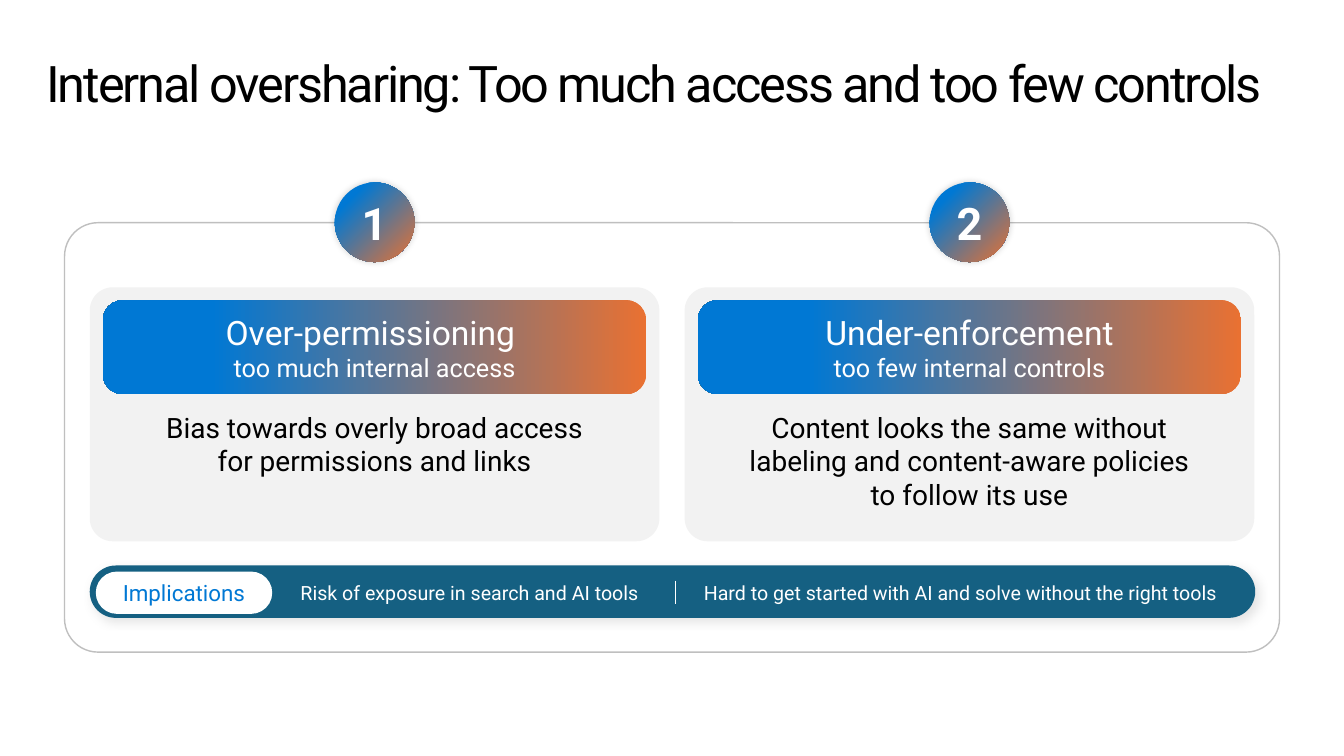
from dataclasses import dataclass

from lxml import etree
from pptx import Presentation
from pptx import util as u
from pptx.dml.color import RGBColor
from pptx.enum import shapes, text
from pptx.oxml import ns

COLORS = {
    "black": "000000", "white": "FFFFFF", "outline": "BFBFBF", "panel": "F2F2F2",
    "teal": "156082", "blue": "0078D4", "orange": "E97132",
}
FONT = "Roboto"
COLUMN_STEP = 5.9
ROUNDED = shapes.MSO_SHAPE.ROUNDED_RECTANGLE
CENTER, LEFT = text.PP_ALIGN.CENTER, text.PP_ALIGN.LEFT
TOP, MIDDLE = text.MSO_ANCHOR.TOP, text.MSO_ANCHOR.MIDDLE


@dataclass(frozen=True)
class Box:
    left: float
    top: float
    width: float
    height: float

    def shifted(self, dx: float) -> "Box":
        return Box(self.left + dx, self.top, self.width, self.height)

    def emu(self) -> list:
        return [u.Inches(v) for v in (self.left, self.top, self.width, self.height)]


@dataclass(frozen=True)
class Line:
    words: str
    size: float
    color: str = "white"
    bold: bool = False


@dataclass(frozen=True)
class Cause:
    number: str
    heading: str
    subheading: str
    explanation: str
    explanation_height: float


@dataclass(frozen=True)
class Implication:
    words: str
    left: float
    width: float


CAUSES = [
    Cause("1", "Over-permissioning ", "too much internal access",
          "Bias towards overly broad access for permissions and links", 0.67),
    Cause("2", "Under-enforcement", "too few internal controls",
          "Content looks the same without labeling and content-aware policies "
          "to follow its use", 1.01),
]
IMPLICATIONS = [
    Implication("Risk of exposure in search and AI tools", 2.98, 3.43),
    Implication("Hard to get started with AI and solve without the right tools",
                6.98, 5.19),
]


def rgb(name: str) -> RGBColor:
    return RGBColor.from_string(COLORS[name])


def write(shape, lines: list[Line], align=CENTER, anchor=MIDDLE, inset=True) -> None:
    frame = shape.text_frame
    frame.word_wrap = True
    frame.vertical_anchor = anchor
    if not inset:
        frame.margin_left = frame.margin_right = 0
        frame.margin_top = frame.margin_bottom = 0
    frame.text = "\n".join(line.words for line in lines)
    for paragraph, line in zip(frame.paragraphs, lines):
        paragraph.alignment = align
        font = paragraph.runs[0].font
        font.name, font.size, font.bold = FONT, u.Pt(line.size), line.bold
        font.color.rgb = rgb(line.color)


def add_text(slide, box: Box, line: Line, align=LEFT, anchor=TOP):
    label = slide.shapes.add_textbox(*box.emu())
    write(label, [line], align, anchor, inset=False)
    return label


def add_block(slide, box: Box, fill: str | None = None, radius: float | None = None,
              kind=ROUNDED):
    block = slide.shapes.add_shape(kind, *box.emu())
    block.shadow.inherit = False
    block.line.fill.background()
    if radius is not None:
        block.adjustments[0] = radius
    if fill:
        block.fill.solid()
        block.fill.fore_color.rgb = rgb(fill)
    return block


def blend(block, radial: bool = False) -> None:
    """Fill with orange to blue, sideways or out of the lower right corner."""
    block.fill.gradient()
    block.fill.gradient_angle = 180
    stops = block.fill.gradient_stops
    for stop, color, position in zip(stops, ("orange", "blue"), (0, 0.8)):
        stop.color.rgb = rgb(color)
        stop.position = position
    if radial:
        gradient = block.element.spPr.find(ns.qn("a:gradFill"))
        gradient.remove(gradient.find(ns.qn("a:lin")))
        path = etree.SubElement(gradient, ns.qn("a:path"), path="circle")
        etree.SubElement(path, ns.qn("a:fillToRect"), l="100000", t="100000")


def cast_shadow(block, opacity: int, blur: float, distance: float, angle: int) -> None:
    effects = block.element.spPr.find(ns.qn("a:effectLst"))
    shadow = etree.SubElement(
        effects, ns.qn("a:outerShdw"), blurRad=str(u.Pt(blur)), dist=str(u.Pt(distance)),
        dir=str(angle * 60000), algn="ctr", rotWithShape="0")
    color = etree.SubElement(shadow, ns.qn("a:srgbClr"), val=COLORS["black"])
    etree.SubElement(color, ns.qn("a:alpha"), val=str(opacity * 1000))


def add_cause(slide, cause: Cause, dx: float) -> None:
    add_block(slide, Box(0.89, 2.85, 5.65, 2.52).shifted(dx), "panel", 0.091)

    badge = add_block(slide, Box(3.32, 1.81, 0.79, 0.79).shifted(dx),
                      kind=shapes.MSO_SHAPE.FLOWCHART_CONNECTOR)
    blend(badge, radial=True)
    cast_shadow(badge, 20, 5, 0, 0)
    write(badge, [Line(cause.number, 32, bold=True)], inset=False)

    banner = add_block(slide, Box(1.02, 2.98, 5.39, 0.93).shifted(dx), radius=0.211)
    blend(banner)
    write(banner, [Line(cause.heading, 24), Line(cause.subheading, 18)])

    add_text(slide, Box(1.5, 4.07, 4.43, cause.explanation_height).shifted(dx),
             Line(cause.explanation, 20, "black"), CENTER)


def add_implications(slide) -> None:
    bar = add_block(slide, Box(0.89, 5.61, 11.56, 0.52), "teal", 0.5)
    cast_shadow(bar, 11, 7, 3, 45)

    divider = slide.shapes.add_connector(
        shapes.MSO_CONNECTOR.STRAIGHT,
        u.Inches(6.7), u.Inches(5.76), u.Inches(6.7), u.Inches(5.99))
    divider.line.color.rgb = rgb("white")
    divider.line.width = u.Pt(1.25)
    etree.SubElement(divider.element.spPr, ns.qn("a:effectLst"))

    pill = add_block(slide, Box(0.95, 5.67, 1.75, 0.42), "white", 0.5)
    write(pill, [Line("Implications", 16, "blue")])
    for item in IMPLICATIONS:
        add_text(slide, Box(item.left, 5.76, item.width, 0.24),
                 Line(item.words, 14), anchor=MIDDLE)


def main() -> None:
    deck = Presentation()
    deck.slide_width, deck.slide_height = u.Inches(13.33), u.Inches(7.5)
    slide = deck.slides.add_slide(deck.slide_layouts[6])

    # Title with tightened letter spacing
    title = add_text(
        slide, Box(0.46, 0.52, 12.69, 0.61),
        Line("Internal oversharing: Too much access and too few controls", 36, "black"))
    title.text_frame.paragraphs[0].runs[0].font._element.set("spc", "-150")

    # Outer frame
    outer = add_block(slide, Box(0.64, 2.21, 12.05, 4.26), "white", 0.078)
    outer.line.color.rgb = rgb("outline")
    outer.line.width = u.Pt(1)

    # Two causes side by side, then their implications
    for column, cause in enumerate(CAUSES):
        add_cause(slide, cause, column * COLUMN_STEP)
    add_implications(slide)

    deck.save("out.pptx")


if __name__ == "__main__":
    main()
